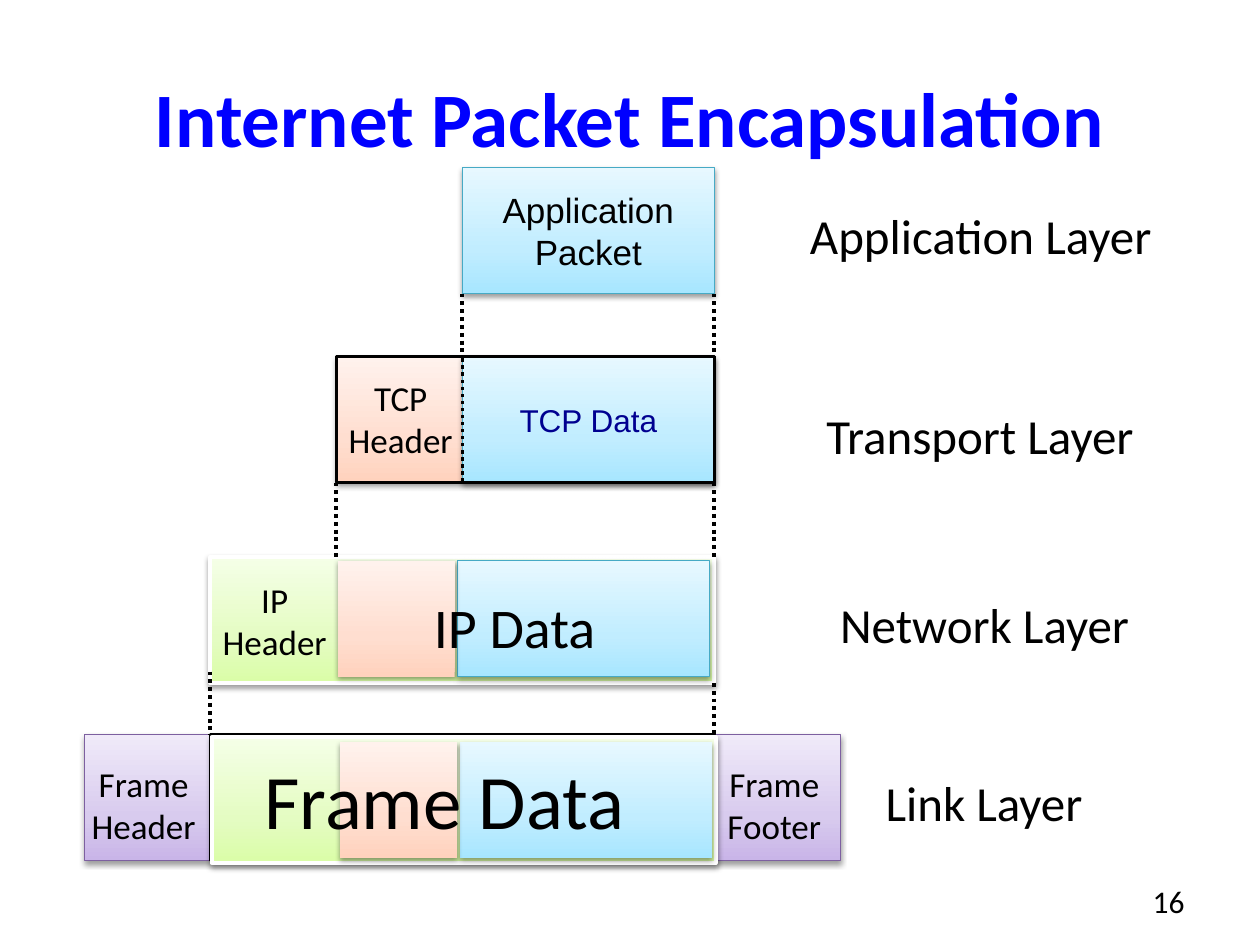
import lxml.etree
import pptx
import pptx.dml.color
import pptx.enum.dml
import pptx.enum.shapes
import pptx.enum.text
import pptx.oxml
import pptx.oxml.ns
import pptx.util

Inches = pptx.util.Inches
Pt = pptx.util.Pt
qn = pptx.oxml.ns.qn
ALIGN = pptx.enum.text.PP_ALIGN
ANCHOR = pptx.enum.text.MSO_ANCHOR
DOTTED = pptx.enum.dml.MSO_LINE.ROUND_DOT

BLUE = ("A7E6FF", "C1EDFF", "E7F8FF")
ORANGE = ("FFD2BD", "FFDED0", "FFF2ED")
GREEN = ("DAFDA7", "E4FCC2", "F5FFE7")
PURPLE = ("C9B5E8", "D8CBEE", "F0EAF9")
BLUE_EDGE, ORANGE_EDGE, PURPLE_EDGE = "46AAC5", "F69240", "7D60A0"
BLACK, WHITE = "000000", "FFFFFF"


def color(value):
    return pptx.dml.color.RGBColor.from_string(value)


class EncapsulationSlide:
    """Holds the slide and the shared style of its packet boxes, guides and labels."""

    font = "Calibri"

    def __init__(self, slide):
        self.slide = slide

    def set_text(self, shape, text, size, ink=BLACK, align=ALIGN.CENTER, font=None, bold=False):
        shape.text_frame.text = text
        for paragraph in shape.text_frame.paragraphs:
            paragraph.alignment = align
            for run in paragraph.runs:
                run.font.name = font or self.font
                run.font.size = Pt(size)
                run.font.bold = bold
                run.font.color.rgb = color(ink)

    def stroke(self, line, ink, width, dash=None):
        line.color.rgb = color(ink)
        line.width = Pt(width)
        if dash:
            line.dash_style = dash

    def rectangle(self, left, top, width, height):
        shape = self.slide.shapes.add_shape(
            pptx.enum.shapes.MSO_SHAPE.RECTANGLE,
            Inches(left), Inches(top), Inches(width), Inches(height))
        shape.shadow.inherit = False
        return shape

    def box(self, left, top, width, height, shades, edge=None, edge_width=0.75):
        shape = self.rectangle(left, top, width, height)
        shape.fill.gradient()
        shape.fill.gradient_angle = 90
        properties = shape._element.spPr
        stops = properties.find(".//" + qn("a:gsLst"))
        for stop in list(stops):
            stops.remove(stop)
        for position, shade in zip((0, 35000, 100000), shades):
            stop = lxml.etree.SubElement(stops, qn("a:gs"), pos=str(position))
            lxml.etree.SubElement(stop, qn("a:srgbClr"), val=shade)
        shadow = lxml.etree.SubElement(
            properties.find(qn("a:effectLst")), qn("a:outerShdw"),
            blurRad="40000", dist="20000", dir="5400000", rotWithShape="0")
        shade = lxml.etree.SubElement(shadow, qn("a:srgbClr"), val=BLACK)
        lxml.etree.SubElement(shade, qn("a:alpha"), val="38000")
        if edge:
            self.stroke(shape.line, edge, edge_width)
        else:
            shape.line.fill.background()
        return shape

    def outline(self, left, top, width, height, dash=None):
        shape = self.rectangle(left, top, width, height)
        shape.fill.background()
        self.stroke(shape.line, BLACK, 2, dash)

    def guide(self, x, top, bottom):
        connector = self.slide.shapes.add_connector(
            pptx.enum.shapes.MSO_CONNECTOR.STRAIGHT,
            Inches(x), Inches(top), Inches(x), Inches(bottom))
        self.stroke(connector.line, BLACK, 2.25, DOTTED)
        lxml.etree.SubElement(connector._element.spPr, qn("a:effectLst"))

    def label(self, left, top, width, height, text, size, wrap=False, anchor=ANCHOR.TOP, **style):
        shape = self.slide.shapes.add_textbox(
            Inches(left), Inches(top), Inches(width), Inches(height))
        shape.text_frame.word_wrap = wrap
        shape.text_frame.vertical_anchor = anchor
        self.set_text(shape, text, size, **style)


def main():
    presentation = pptx.Presentation()
    presentation.slide_width = Inches(10)
    presentation.slide_height = Inches(7.5)
    page = EncapsulationSlide(presentation.slides.add_slide(presentation.slide_layouts[6]))

    frame_left, ip_left, tcp_left, data_left, data_right = 0.67, 1.67, 2.67, 3.67, 5.67
    application_top, transport_top, network_top, link_top = 1.33, 2.83, 4.42, 5.83

    page.box(frame_left, link_top, 6, 1, PURPLE, PURPLE_EDGE)
    page.box(ip_left, network_top, 4, 1, GREEN, WHITE, 2.25)
    page.label(0.5, 0.3, 9, 1.25, "Internet Packet Encapsulation", 44, wrap=True,
               anchor=ANCHOR.MIDDLE, ink="0000FF", bold=True)
    page.box(tcp_left, transport_top, 3, 1, ORANGE, ORANGE_EDGE)
    for top, text, size, ink in (
            (application_top, "Application Packet", 20, BLACK),
            (transport_top, "TCP Data", 18, "000090")):
        packet = page.box(data_left, top, 2, 1, BLUE, BLUE_EDGE)
        page.set_text(packet, text, size, ink, font="Arial")

    for left, top, width, text in (
            (2.62, 2.94, 1.12, "TCP\nHeader"),
            (1.62, 4.54, 1.12, "IP\nHeader"),
            (0.58, 6, 1.12, "Frame\nHeader"),
            (5.64, 6, 1.01, "Frame\nFooter")):
        page.label(left, top, width, 0.73, text, 20)

    page.outline(data_left, transport_top, 2, 1, DOTTED)
    page.outline(tcp_left, transport_top, 3, 1)
    page.outline(ip_left, link_top, 4, 1)

    for x, top, bottom in (
            (data_left, application_top + 1, transport_top),
            (data_right, application_top + 1, transport_top),
            (data_right, transport_top + 1, network_top),
            (tcp_left, transport_top + 1, network_top),
            (data_right, network_top + 1, 5.92),
            (ip_left, 5.33, link_top)):
        page.guide(x, top, bottom)

    page.box(3.63, 4.45, 2, 0.92, BLUE, BLUE_EDGE)
    page.box(2.68, 4.45, 0.93, 0.92, ORANGE)
    page.label(2.75, 4.65, 2.67, 0.6, "IP Data", 32, wrap=True)

    page.box(1.68, 5.85, 4, 1, GREEN, WHITE, 2.25)
    page.box(3.65, 5.89, 2, 0.92, BLUE)
    page.box(2.7, 5.89, 0.93, 0.92, ORANGE)
    page.label(2, 5.92, 3.46, 0.84, "Frame Data", 44, align=ALIGN.LEFT)

    for left, top, width, text in (
            (6.33, 1.58, 3.22, "Application Layer"),
            (6.46, 3.17, 2.97, "Transport Layer"),
            (6.57, 4.67, 2.74, "Network Layer"),
            (6.93, 6.08, 2.02, "Link Layer")):
        page.label(left, top, width, 0.54, text, 28, align=ALIGN.LEFT)
    page.label(7.17, 6.95, 2.33, 0.4, "16", 18, wrap=True, align=ALIGN.RIGHT)

    presentation.save("out.pptx")


if __name__ == "__main__":
    main()
